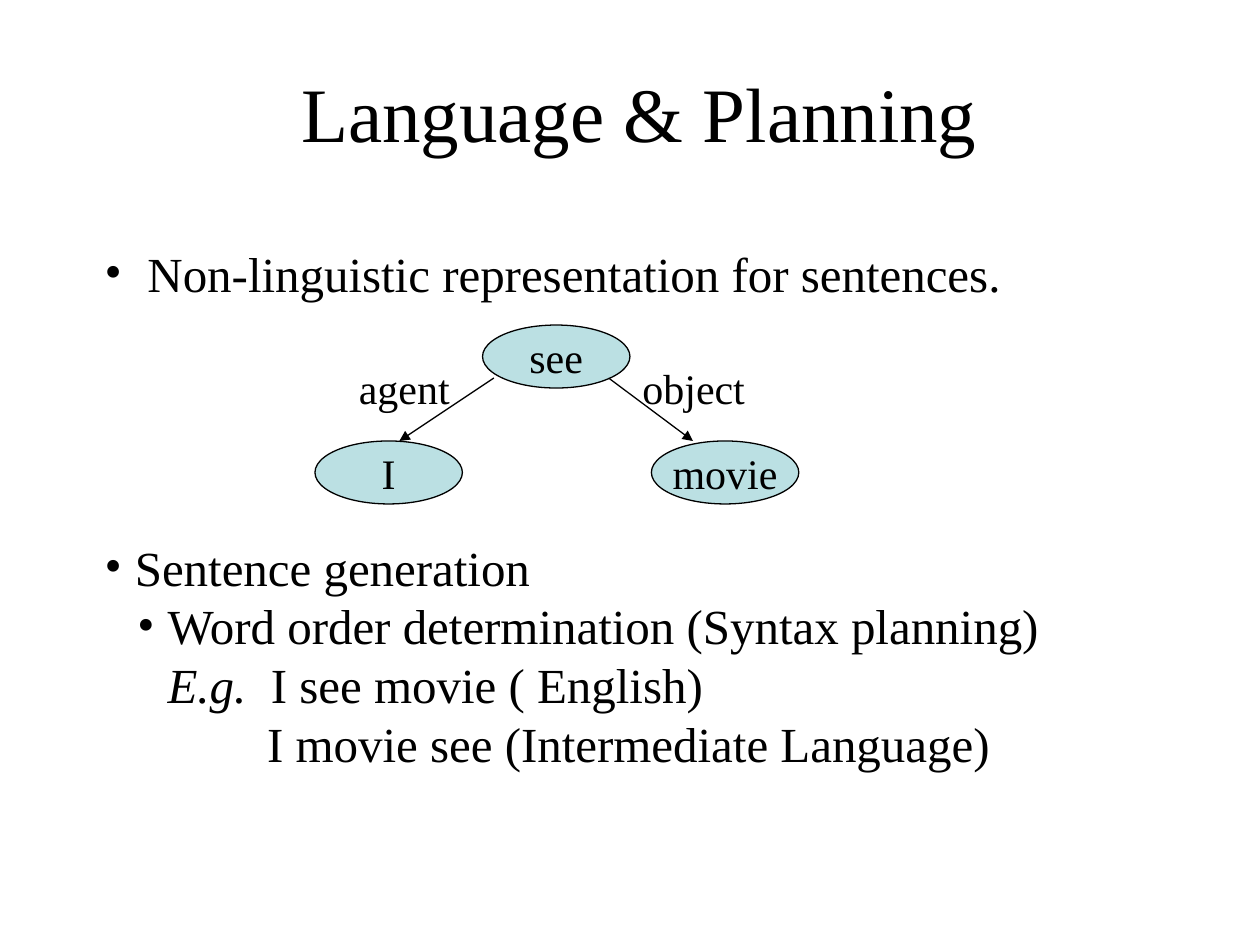
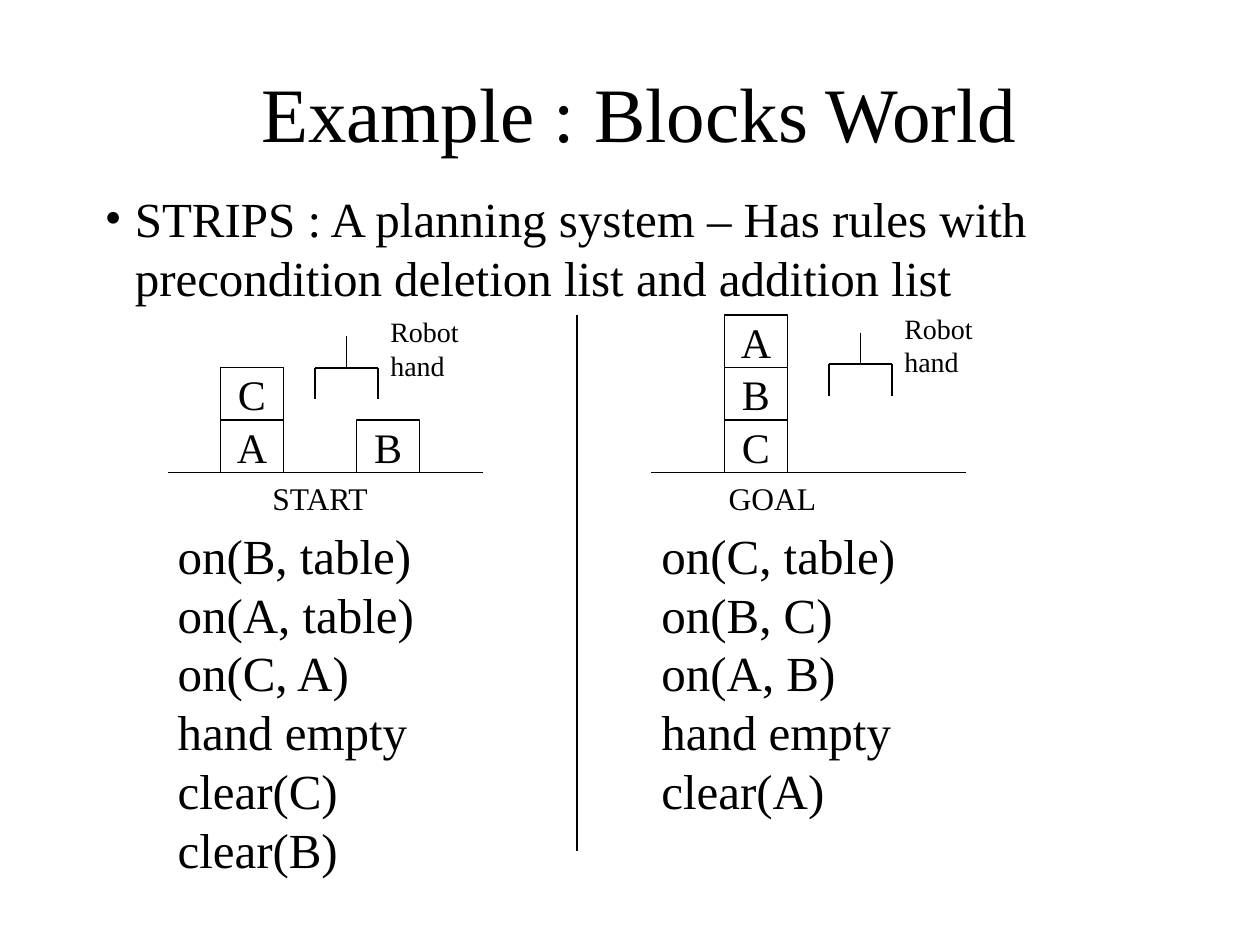
from lxml.etree import SubElement
from pptx import Presentation
from pptx.dml.color import RGBColor
from pptx.enum.shapes import MSO_CONNECTOR, MSO_SHAPE
from pptx.enum.text import MSO_ANCHOR, MSO_AUTO_SIZE, PP_ALIGN
from pptx.oxml.ns import qn
from pptx.util import Inches, Pt

FONT = "Times New Roman"
BLACK = "000000"
NODE_FILL = "BBE0E3"
LINE_WIDTH = 0.75
LINE_FACTOR = 1.2
TITLE_SIZE, BODY_SIZE, NODE_SIZE, CAPTION_SIZE, LABEL_SIZE = 44, 28, 24, 18, 16
BLOCK_WIDTH, BLOCK_HEIGHT = 0.5, 5 / 12
TABLE_TOP, TABLE_LENGTH = 3.75, 2.5
HAND_WIDTH, FINGER_LENGTH = 0.5, 0.25
BULLET_HANG = 0.24


def color(hex_string):
    return RGBColor.from_string(hex_string)


def apply_format(target, values):
    for name, value in values.items():
        setattr(target, name, value)


def place(shape, left, top, width, height):
    apply_format(shape, {"left": Inches(left), "top": Inches(top),
                         "width": Inches(width), "height": Inches(height)})


def set_frame(frame, anchor=MSO_ANCHOR.TOP, margins=(0, 0), wrap=True):
    """Margins are (left and right, top and bottom) in inches."""
    side, end = (Inches(margin) for margin in margins)
    apply_format(frame, {"margin_left": side, "margin_right": side,
                         "margin_top": end, "margin_bottom": end,
                         "vertical_anchor": anchor, "word_wrap": wrap,
                         "auto_size": MSO_AUTO_SIZE.NONE})


def add_run(paragraph, text, size, italic=False):
    run = paragraph.add_run()
    run.text = text
    apply_format(run.font, {"name": FONT, "size": Pt(size), "italic": italic})
    run.font.color.rgb = color(BLACK)


def write_lines(frame, lines, size, align=PP_ALIGN.LEFT, spacing=None):
    """Write one paragraph per line; a line is a text or a list of (text, italic)."""
    for index, line in enumerate(lines):
        paragraph = frame.paragraphs[0] if index == 0 else frame.add_paragraph()
        apply_format(paragraph, {"alignment": align, "space_before": Pt(0),
                                 "line_spacing": Pt(spacing or size * LINE_FACTOR)})
        for text, italic in [(line, False)] if isinstance(line, str) else line:
            add_run(paragraph, text, size, italic)


def set_bullet(paragraph, indent, hang):
    """Indent the text; a hang of zero means no bullet."""
    properties = paragraph._p.get_or_add_pPr()
    properties.set("marL", str(Inches(indent)))
    properties.set("indent", str(-Inches(hang)))
    if hang:
        SubElement(properties, qn("a:buFont"), typeface=FONT)
        SubElement(properties, qn("a:buChar"), char="•")
    else:
        SubElement(properties, qn("a:buNone"))


def add_titled_slide(presentation, title, body_box, items):
    """Items are (line, level, indent, hang)."""
    slide = presentation.slides.add_slide(presentation.slide_layouts[1])
    heading, body = slide.shapes.title, slide.placeholders[1]
    place(heading, 0.83, 0.25, 8.49, 1.6)
    set_frame(heading.text_frame, MSO_ANCHOR.MIDDLE)
    write_lines(heading.text_frame, [title], TITLE_SIZE, PP_ALIGN.CENTER, 29.5)
    place(body, *body_box)
    set_frame(body.text_frame)
    write_lines(body.text_frame, [item[0] for item in items], BODY_SIZE)
    for paragraph, (_, level, indent, hang) in zip(body.text_frame.paragraphs, items):
        paragraph.level = level
        set_bullet(paragraph, indent, hang)
    return slide


def add_text(slide, box, lines, size, align=PP_ALIGN.LEFT, margins=(0.1, 0.05)):
    text_box = slide.shapes.add_textbox(*map(Inches, box))
    set_frame(text_box.text_frame, margins=margins)
    write_lines(text_box.text_frame, lines, size, align)


def add_line(slide, start, end, arrow=False):
    connector = slide.shapes.add_connector(
        MSO_CONNECTOR.STRAIGHT, *map(Inches, (*start, *end)))
    connector.line.color.rgb = color(BLACK)
    connector.line.width = Pt(LINE_WIDTH)
    if arrow:
        SubElement(connector.line._get_or_add_ln(), qn("a:tailEnd"), type="triangle")
    SubElement(connector._element.spPr, qn("a:effectLst"))


def add_labelled_shape(slide, kind, box, text, fill=None):
    shape = slide.shapes.add_shape(kind, *map(Inches, box))
    shape.shadow.inherit = False
    if fill:
        shape.fill.solid()
        shape.fill.fore_color.rgb = color(fill)
    else:
        shape.fill.background()
    shape.line.color.rgb = color(BLACK)
    shape.line.width = Pt(LINE_WIDTH)
    set_frame(shape.text_frame, MSO_ANCHOR.MIDDLE, (0.1, 0.05), wrap=False)
    write_lines(shape.text_frame, [text], NODE_SIZE, PP_ALIGN.CENTER)


def add_stack(slide, left, letters):
    """Pile blocks on the table, first letter lowest."""
    for level, letter in enumerate(letters, start=1):
        box = (left, TABLE_TOP - level * BLOCK_HEIGHT, BLOCK_WIDTH, BLOCK_HEIGHT)
        add_labelled_shape(slide, MSO_SHAPE.RECTANGLE, box, letter)


def add_robot_hand(slide, left, top):
    right, middle = left + HAND_WIDTH, left + HAND_WIDTH / 2
    add_line(slide, (left, top), (right, top))
    for finger in (left, right):
        add_line(slide, (finger, top), (finger, top + FINGER_LENGTH))
    add_line(slide, (middle, top - FINGER_LENGTH), (middle, top))
    add_text(slide, (right, top - 0.47, 1, 0.64), ["Robot hand"], LABEL_SIZE)


def add_world(slide, table_left, stacks, hand, caption, caption_left, facts):
    add_line(slide, (table_left, TABLE_TOP), (table_left + TABLE_LENGTH, TABLE_TOP))
    for left, letters in stacks:
        add_stack(slide, left, letters)
    add_robot_hand(slide, *hand)
    add_text(slide, (caption_left, TABLE_TOP, 1.42, 0.4), [caption],
             CAPTION_SIZE, PP_ALIGN.CENTER)
    facts_box = (table_left + 0.08, 4.17, 2.17, len(facts) * BODY_SIZE * LINE_FACTOR / 72)
    add_text(slide, facts_box, facts, BODY_SIZE, margins=(0, 0))


def build_language_slide(presentation):
    slide = add_titled_slide(
        presentation, "Language & Planning", (0.83, 1.93, 8.82, 4.67),
        [("Non-linguistic representation for sentences.", 0, 0.34, 0.34),
         ("Sentence generation", 0, BULLET_HANG, BULLET_HANG),
         ("Word order determination (Syntax planning)", 1, 0.5, BULLET_HANG),
         ([("E.g.  ", True), ("I see movie ( English)", False)], 1, 0.5, 0),
         ("I movie see (Intermediate Language)", 1, 1.29, 0)])
    generation = slide.placeholders[1].text_frame.paragraphs[1]
    generation.space_before = Pt(4 * BODY_SIZE * LINE_FACTOR)

    for word, left, top in (("see", 3.83, 2.58), ("I", 2.5, 3.5), ("movie", 5.17, 3.5)):
        add_labelled_shape(slide, MSO_SHAPE.OVAL, (left, top, 1.17, 0.5), word, NODE_FILL)
    for role, label_left, start, end in (("agent", 2.75, 3.92, 3.17),
                                         ("object", 5, 4.83, 5.5)):
        add_line(slide, (start, 3), (end, 3.5), arrow=True)
        add_text(slide, (label_left, 2.83, 1.17, 0.5), [role], NODE_SIZE)


def build_blocks_slide(presentation):
    slide = add_titled_slide(
        presentation, "Example : Blocks World", (0.83, 1.5, 8.33, 0.93),
        [("STRIPS : A planning system – Has rules with precondition "
          "deletion list and addition list", 0, BULLET_HANG, BULLET_HANG)])
    for divider_bottom in (6.75, 4.08):
        add_line(slide, (4.58, 2.5), (4.58, divider_bottom))
    add_world(slide, 1.33, [(1.75, "AC"), (2.83, "B")], (2.5, 2.92), "START", 1.83,
              ["on(B, table)", "on(A, table)", "on(C, A)",
               "hand empty", "clear(C)", "clear(B)"])
    add_world(slide, 5.17, [(5.75, "CBA")], (6.58, 2.89), "GOAL", 5.42,
              ["on(C, table)", "on(B, C)", "on(A, B)", "hand empty", "clear(A)"])


def main():
    presentation = Presentation()
    presentation.slide_width = Inches(10)
    presentation.slide_height = Inches(7.5)
    build_language_slide(presentation)
    build_blocks_slide(presentation)
    presentation.save("out.pptx")


if __name__ == "__main__":
    main()
